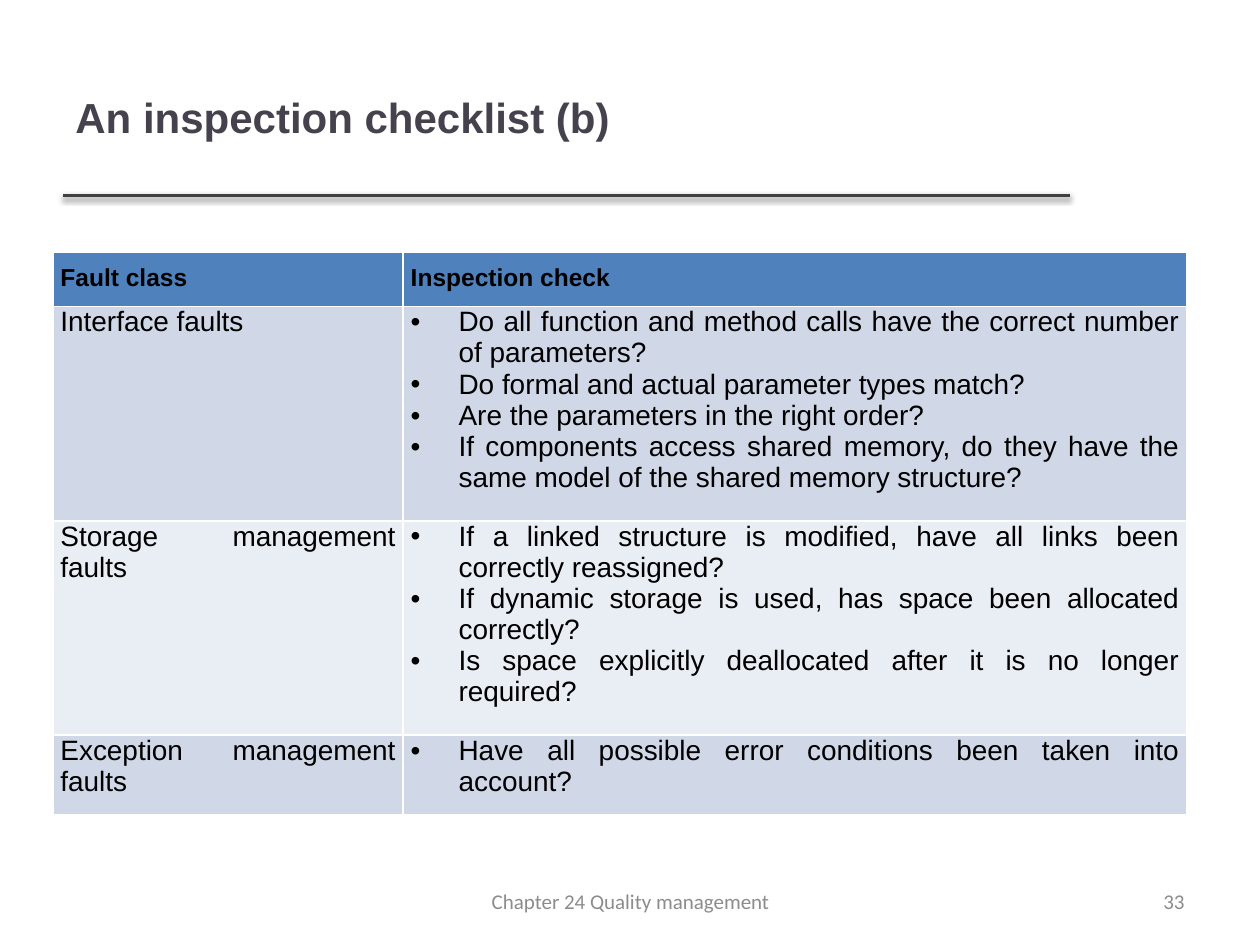
import pptx
import pptx.util
import pptx.dml.color
import pptx.enum.shapes
import pptx.enum.text
import pptx.oxml
import pptx.oxml.ns
from pptx.util import Inches

ALIGN = pptx.enum.text.PP_ALIGN
MIDDLE = pptx.enum.text.MSO_ANCHOR.MIDDLE
NAMESPACE = pptx.oxml.ns.nsdecls("a")


def color(value):
    return pptx.dml.color.RGBColor.from_string(value)


def write(frame, text, size=16, font="Arial", fill="000000", bold=False,
          align=ALIGN.JUSTIFY, bullet=False):
    """Write one paragraph per line of text."""
    frame.word_wrap = True
    for index, line in enumerate(text.split("\n")):
        para = frame.add_paragraph() if index else frame.paragraphs[0]
        para.alignment = align
        span = para.add_run()
        span.text = line
        span.font.size = pptx.util.Pt(size)
        span.font.name = font
        span.font.bold = bold
        span.font.color.rgb = color(fill)
        if bullet:
            properties = para._p.get_or_add_pPr()
            properties.set("marL", str(Inches(0.38)))
            properties.set("indent", str(-Inches(0.38)))
            properties.append(pptx.oxml.parse_xml(f'<a:buFont {NAMESPACE} typeface="Arial"/>'))
            properties.append(pptx.oxml.parse_xml(f'<a:buChar {NAMESPACE} char="•"/>'))


deck = pptx.Presentation()
deck.slide_width, deck.slide_height = Inches(10), Inches(7.5)
page = deck.slides.add_slide(deck.slide_layouts[6])

# Rule under the title, with a soft shadow
rule = page.shapes.add_connector(
    pptx.enum.shapes.MSO_CONNECTOR.STRAIGHT,
    Inches(0.5), Inches(1.55), Inches(8.49), Inches(1.55))
rule.line.color.rgb = color("404040")
rule.line.width = pptx.util.Pt(2)
rule._element.spPr.append(pptx.oxml.parse_xml(
    f'<a:effectLst {NAMESPACE}><a:outerShdw blurRad="39370" dist="20320" dir="5400000" '
    'rotWithShape="0"><a:srgbClr val="000000"><a:alpha val="38000"/></a:srgbClr>'
    '</a:outerShdw></a:effectLst>'))

# Title, page number and footer
footer = dict(size=12, font="Calibri", fill="8C8C8C")
texts = [
    ((0.5, 0.3, 7.98, 1.25), "An inspection checklist (b)",
     dict(size=24, fill="46424D", bold=True, align=ALIGN.LEFT)),
    ((7.17, 6.95, 2.33, 0.4), "33", dict(footer, align=ALIGN.RIGHT)),
    ((3.42, 6.95, 3.17, 0.4), "Chapter 24 Quality management",
     dict(footer, align=ALIGN.CENTER)),
]
for place, text, style in texts:
    box = page.shapes.add_textbox(*map(Inches, place))
    box.text_frame.vertical_anchor = MIDDLE
    write(box.text_frame, text, **style)

# Checklist table: height, fill, fault class, checks
rows = [
    (0.41, "4F81BD", "Fault class", "Inspection check"),
    (1.58, "D0D8E8", "Interface faults",
     "Do all function and method calls have the correct number of parameters?\n"
     "Do formal and actual parameter types match?\n"
     "Are the parameters in the right order?\n"
     "If components access shared memory, do they have the same model of the "
     "shared memory structure?"),
    (1.58, "E9EDF4", "Storage management faults",
     "If a linked structure is modified, have all links been correctly reassigned?\n"
     "If dynamic storage is used, has space been allocated correctly?\n"
     "Is space explicitly deallocated after it is no longer required?"),
    (0.59, "D0D8E8", "Exception management faults",
     "Have all possible error conditions been taken into account?"),
]
table = page.shapes.add_table(
    len(rows), 2, Inches(0.42), Inches(2), Inches(9),
    Inches(sum(row[0] for row in rows))).table
for column, width in zip(table.columns, (2.78, 6.22)):
    column.width = Inches(width)

for row_index, (height, fill, *entries) in enumerate(rows):
    table.rows[row_index].height = Inches(height)
    header = row_index == 0
    for column_index, text in enumerate(entries):
        cell = table.cell(row_index, column_index)
        cell.margin_left = cell.margin_right = Inches(0.06)
        cell.margin_top = Inches(0.1 if header else 0)
        cell.margin_bottom = Inches(0.1)
        # White borders come before the fill in the cell properties
        for side in "LRTB":
            cell._tc.get_or_add_tcPr().append(pptx.oxml.parse_xml(
                f'<a:ln{side} {NAMESPACE} w="12700"><a:solidFill>'
                f'<a:srgbClr val="FFFFFF"/></a:solidFill></a:ln{side}>'))
        cell.fill.solid()
        cell.fill.fore_color.rgb = color(fill)
        write(cell.text_frame, text, size=14 if header else 16, bold=header,
              bullet=column_index == 1 and not header)

deck.save("out.pptx")
